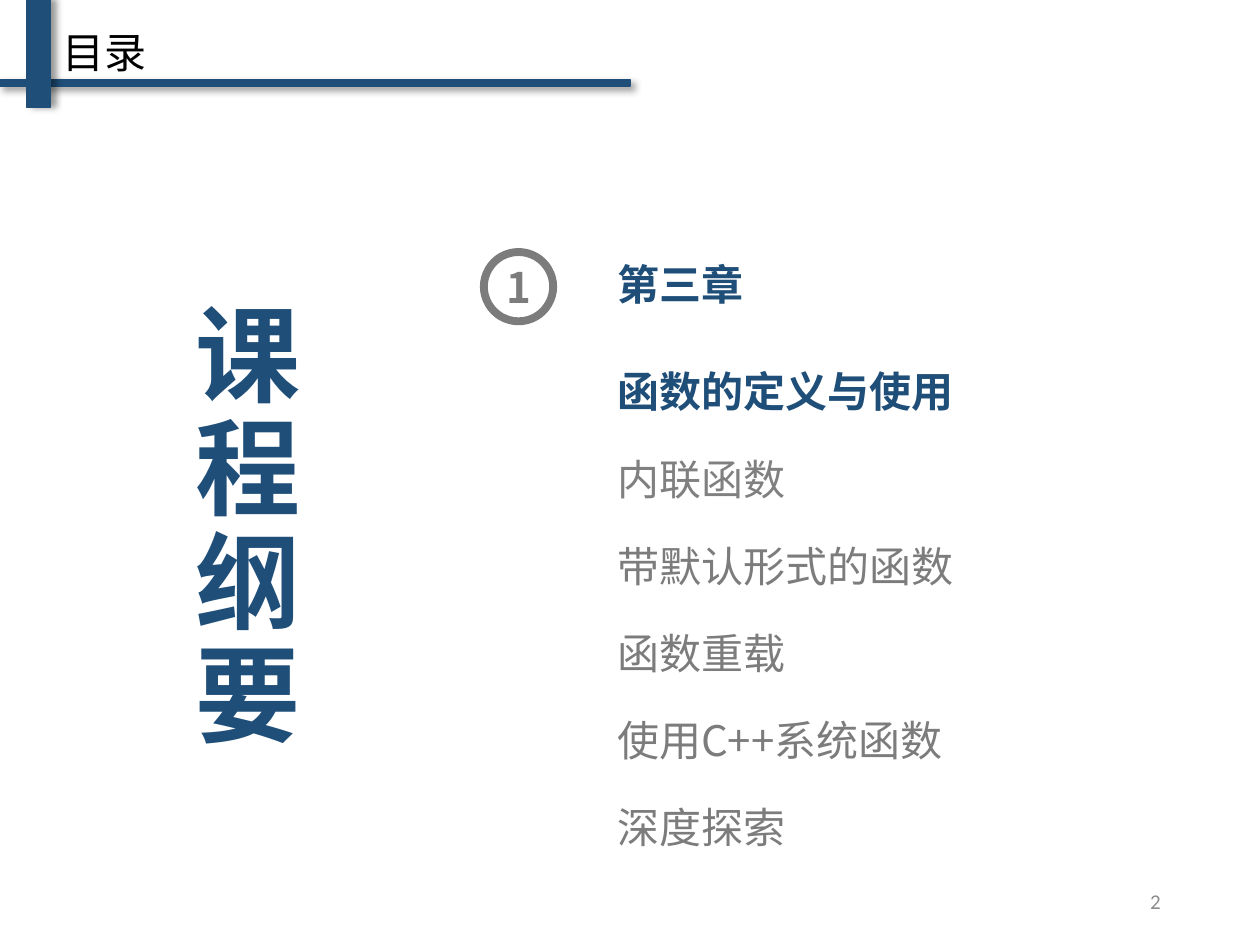
from lxml import etree
from pptx import Presentation
from pptx.dml.color import RGBColor
from pptx.enum.shapes import MSO_SHAPE
from pptx.enum.text import MSO_ANCHOR, PP_ALIGN
from pptx.oxml import parse_xml
from pptx.oxml.ns import nsdecls, qn
from pptx.util import Pt

RECT, OVAL = MSO_SHAPE.RECTANGLE, MSO_SHAPE.OVAL
TOP, MIDDLE = MSO_ANCHOR.TOP, MSO_ANCHOR.MIDDLE
LEFT, CENTER, RIGHT = PP_ALIGN.LEFT, PP_ALIGN.CENTER, PP_ALIGN.RIGHT
CJK = "Noto Sans CJK SC"
BLUE, GRAY = "1F4E79", "7C7C7C"
rgb = RGBColor.from_string


def add_text(text, x, y, w, h, size=24, color=GRAY, bold=False, font=CJK,
             align=LEFT, anchor=MIDDLE, spacing=None, sp=None):
    sp = sp or slide.shapes.add_textbox(Pt(x), Pt(y), Pt(w), Pt(h))
    tf = sp.text_frame
    tf.word_wrap = True
    tf.vertical_anchor = anchor
    p = tf.paragraphs[0]
    p.alignment = align
    p.line_spacing = spacing
    r = p.add_run()
    r.text = text
    r.font.size = Pt(size)
    r.font.bold = bold
    r.font.color.rgb = rgb(color)
    r.font.name = font
    etree.SubElement(r.font._element, qn("a:ea")).set("typeface", font)


prs = Presentation()
prs.slide_width, prs.slide_height = Pt(720), Pt(540)
slide = prs.slides.add_slide(prs.slide_layouts[6])

box = (276.5, 144, 39.6, 39.6)
sp = slide.shapes.add_shape(OVAL, *map(Pt, box))
sp.shadow.inherit = False
sp.fill.background()
sp.line.color.rgb = rgb(GRAY)
sp.line.width = Pt(4.5)
tf = sp.text_frame
tf.margin_left = tf.margin_right = tf.margin_top = tf.margin_bottom = 0
add_text("1", *box, bold=True, align=CENTER, sp=sp)

add_text("目录", 28.8, 11.5, 208, 36.7, color="000000", anchor=TOP)
add_text("课程纲要", 77.8, 131.8, 127.4, 342.7, size=60, color=BLUE, bold=True,
         align=CENTER, spacing=0.9)

bars = [((0, 45.4, 360, 3.6), 1, 45), ((15.1, 0, 13.7, 61.2), 0.75, 0)]
for box, width, angle in bars:
    sp = slide.shapes.add_shape(RECT, *map(Pt, box))
    sp.fill.solid()
    sp.fill.fore_color.rgb = rgb(BLUE)
    sp.line.color.rgb = rgb(BLUE)
    sp.line.width = Pt(width)
    sp._element.spPr.append(parse_xml(
        f'<a:effectLst {nsdecls("a")}><a:outerShdw blurRad="{Pt(4)}" dist="{Pt(3)}" '
        f'dir="{angle * 60000}" algn="tl" rotWithShape="0"><a:srgbClr val="000000">'
        '<a:alpha val="40000"/></a:srgbClr></a:outerShdw></a:effectLst>'))

add_text("第三章", 345.6, 141.8, 315.4, 44.6, color=BLUE, bold=True, spacing=0.9)
topics = [
    ("函数的定义与使用", BLUE),
    ("内联函数", "808080"),
    ("带默认形式的函数", GRAY),
    ("函数重载", GRAY),
    ("使用C++系统函数", GRAY),
    ("深度探索", GRAY),
]
for i, (topic, color) in enumerate(topics):
    add_text(topic, 345.6, 203 + 49.8 * i, 315.4, 44.6, color=color,
             bold=color == BLUE, spacing=0.9)

add_text("2", 508.3, 500.4, 162, 28.8, size=12, color="8C8C8C", font="Calibri",
         align=RIGHT)

prs.save("out.pptx")
